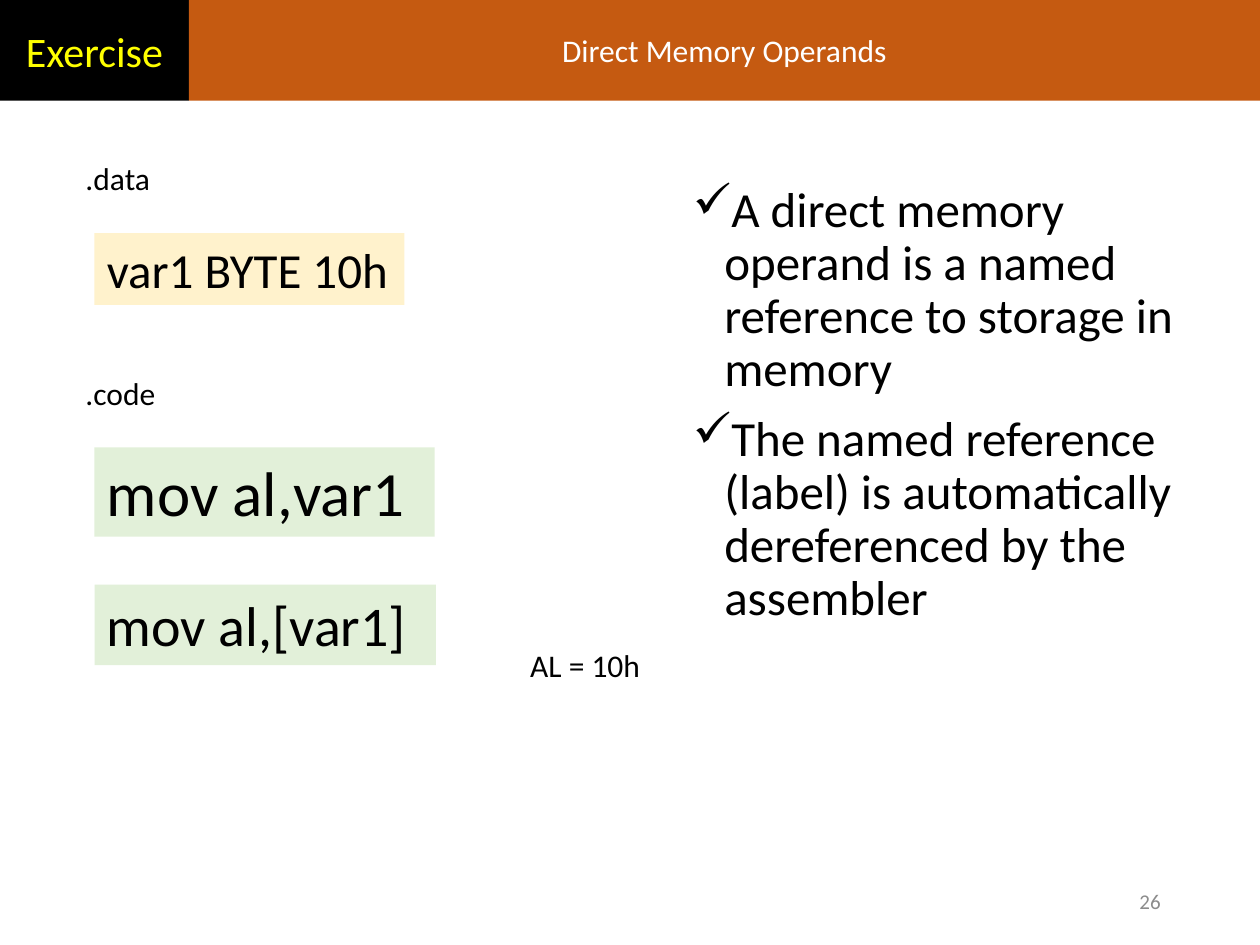
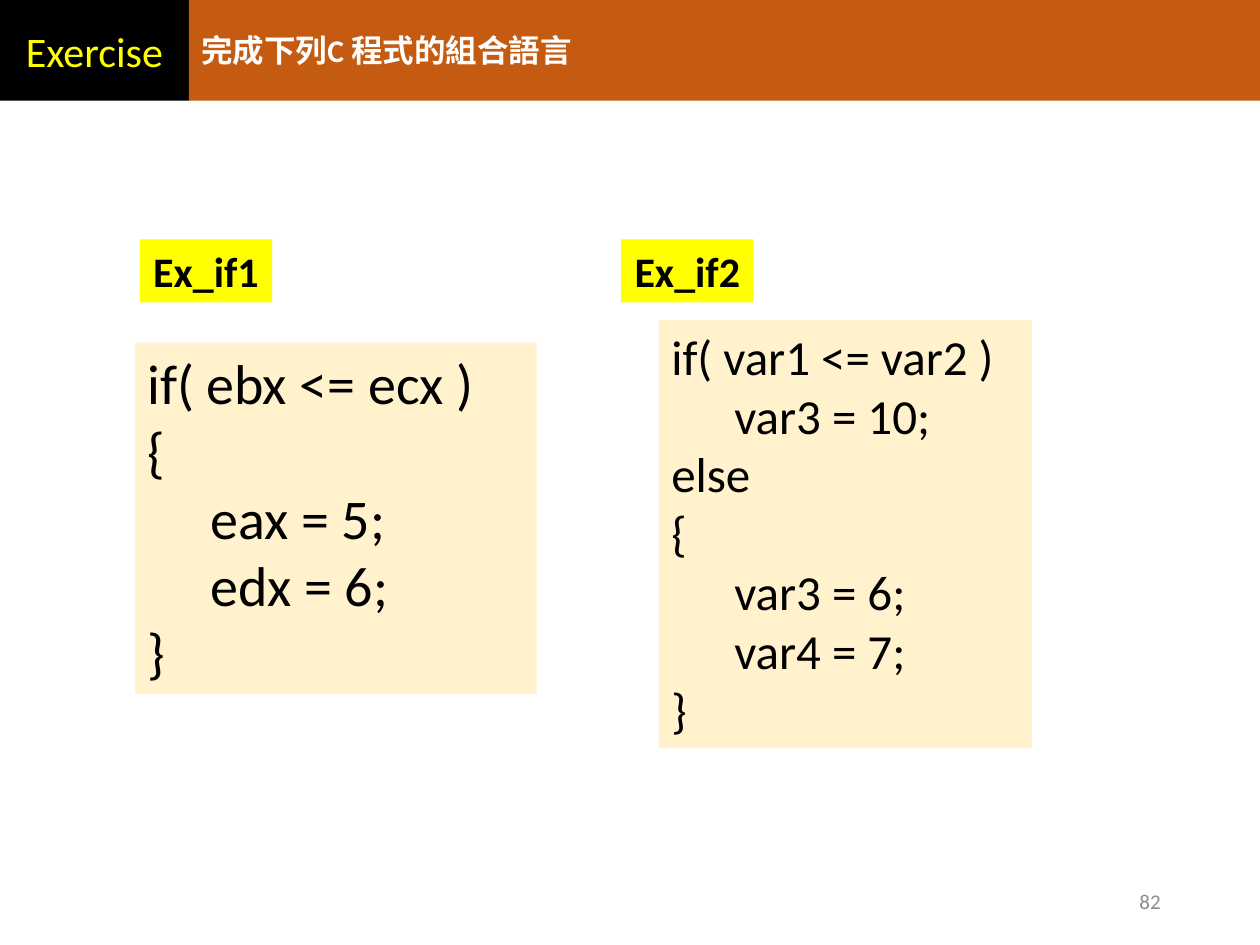
import pptx
import pptx.dml.color
import pptx.enum.shapes
import pptx.enum.text
import pptx.oxml.ns
import pptx.util
from lxml import etree

Inches = pptx.util.Inches
ALIGN = pptx.enum.text.PP_ALIGN
ANCHOR = pptx.enum.text.MSO_ANCHOR

BLACK, WHITE, YELLOW, GREY = "000000", "FFFFFF", "FFFF00", "8C8C8C"
ORANGE, CREAM, GREEN = "C55A11", "FFF2CC", "E2F0D9"


def rgb(hex_code):
    return pptx.dml.color.RGBColor.from_string(hex_code)


def add_text(slide, place, lines, size, color=BLACK, fill=None, bold=False,
             align=ALIGN.LEFT, anchor=ANCHOR.TOP, wrap=True, bullet=None):
    """Add a box of text, filled if a fill is given; a line that starts with a tab is indented."""
    left, top, width, height = map(Inches, place)
    if fill:
        box = slide.shapes.add_shape(
            pptx.enum.shapes.MSO_SHAPE.RECTANGLE, left, top, width, height)
        box.shadow.inherit = False
        box.fill.solid()
        box.fill.fore_color.rgb = rgb(fill)
        box.line.fill.background()
    else:
        box = slide.shapes.add_textbox(left, top, width, height)
    frame = box.text_frame
    frame.word_wrap = wrap
    frame.vertical_anchor = anchor
    for number, line in enumerate(lines):
        paragraph = frame.add_paragraph() if number else frame.paragraphs[0]
        paragraph.text = line.lstrip("\t")
        paragraph.alignment = align
        properties = paragraph._p.get_or_add_pPr()
        if line.startswith("\t"):
            properties.set("marL", str(Inches(0.5)))
        if bullet:
            properties.set("marL", str(Inches(0.25)))
            properties.set("indent", str(Inches(-0.25)))
            etree.SubElement(properties, pptx.oxml.ns.qn("a:buChar"), char=bullet)
            paragraph.line_spacing = 0.9
            paragraph.space_before = pptx.util.Pt(10 if number else 0)
        font_values = {"name": "Calibri", "size": pptx.util.Pt(size), "bold": bold}
        for name, value in font_values.items():
            setattr(paragraph.font, name, value)
        paragraph.font.color.rgb = rgb(color)


deck = pptx.Presentation()
deck.slide_width, deck.slide_height = Inches(10), Inches(7.5)

# Shared header band and page number
pages = [
    ("Direct Memory Operands", {"align": ALIGN.CENTER}, "26"),
    ("完成下列C 程式的組合語言", {"bold": True}, "82"),
]
for title, title_style, page_number in pages:
    slide = deck.slides.add_slide(deck.slide_layouts[6])
    add_text(slide, (0, 0, 1.5, 0.8), ["Exercise"], 24, YELLOW, BLACK,
             align=ALIGN.CENTER, anchor=ANCHOR.MIDDLE)
    add_text(slide, (1.5, 0, 8.5, 0.8), [title], 18, WHITE, ORANGE,
             anchor=ANCHOR.MIDDLE, **title_style)
    add_text(slide, (7.06, 6.95, 2.25, 0.4), [page_number], 12, GREY,
             align=ALIGN.RIGHT, anchor=ANCHOR.MIDDLE)
operands_slide, if_slide = deck.slides

# Direct memory operands
explanation = [
    "A direct memory operand is a named reference to storage in memory",
    "The named reference (label) is automatically dereferenced by the assembler",
]
add_text(operands_slide, (5.4, 1.42, 4.12, 5.07), explanation, 28, bullet="✓")

for label, left, top, width in [
    (".data", 0.58, 1.21, 0.72),
    (".code", 0.58, 2.92, 0.76),
    ("AL = 10h", 4.11, 5.08, 1.09),
]:
    add_text(operands_slide, (left, top, width, 0.4), [label], 18, wrap=False)

for statement, top, width, height, size, fill in [
    ("var1 BYTE 10h", 1.85, 2.46, 0.57, 28, CREAM),
    ("mov al,var1", 3.55, 2.7, 0.71, 36, GREEN),
    ("mov al,[var1]", 4.64, 2.71, 0.64, 32, GREEN),
]:
    add_text(operands_slide, (0.75, top, width, height), [statement], size, fill=fill)

# C programs to translate into assembly
if1_code = ["if( ebx <= ecx )", "{", "\teax = 5;", "\tedx = 6;", "}"]
if2_code = ["if( var1 <= var2 )", "\tvar3 = 10;", "else", "{",
            "\tvar3 = 6;", "\tvar4 = 7;", "}"]
for exercise, tag_left, code_place, code, size in [
    ("Ex_if1", 1.11, (1.07, 2.72, 3.19, 2.79), if1_code, 32),
    ("Ex_if2", 4.93, (5.23, 2.54, 2.96, 3.4), if2_code, 28),
]:
    add_text(if_slide, (tag_left, 1.9, 1.05, 0.5), [exercise], 24, fill=YELLOW,
             bold=True, align=ALIGN.CENTER, wrap=False)
    add_text(if_slide, code_place, code, size, fill=CREAM)

deck.save("out.pptx")
